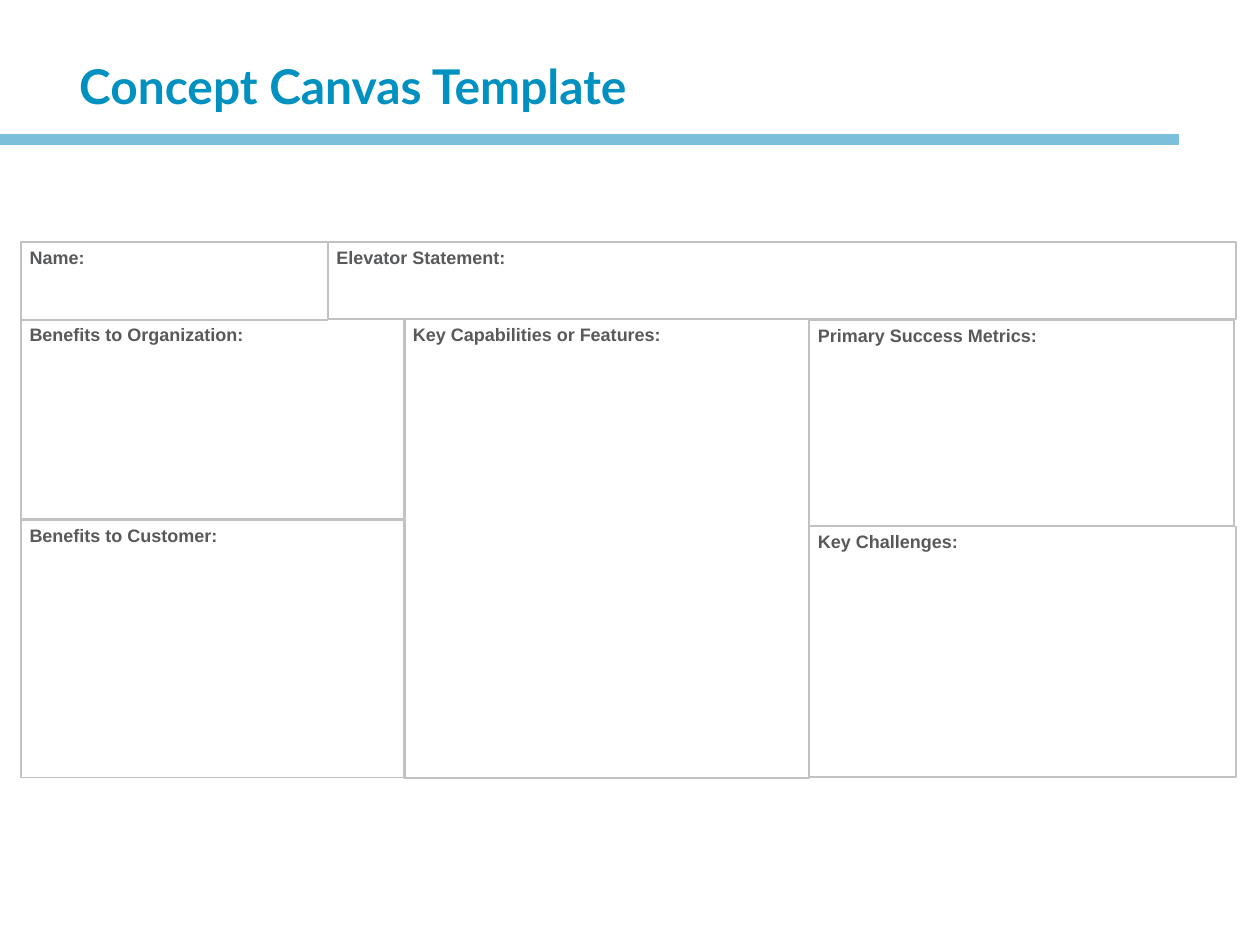
from dataclasses import dataclass

from pptx import Presentation
from pptx.dml.color import RGBColor
from pptx.enum.shapes import MSO_SHAPE
from pptx.enum.text import MSO_ANCHOR, MSO_AUTO_SIZE, PP_ALIGN
from pptx.util import Inches, Pt


@dataclass(frozen=True)
class Theme:
    """Colours, fonts and sizes of the slide."""
    blue: RGBColor = RGBColor(0x00, 0x91, 0xC1)
    sky: RGBColor = RGBColor(0x7B, 0xBF, 0xDB)
    rule: RGBColor = RGBColor(0xC4, 0xC2, 0xC1)
    ink: RGBColor = RGBColor(0x58, 0x59, 0x5B)
    head: str = "Lato"
    body: str = "Arial"
    large: float = 38.3
    small: float = 14.4
    line: float = 1.5


THEME = Theme()
LEFT, MID, RIGHT = 0.23, 4.49, 8.99
TOP, ROW = 2.69, 3.55
BOXES = [
    ("Name:", LEFT, TOP, 3.41, 0.87),
    ("Elevator Statement:", 3.64, TOP, 10.09, 0.86),
    ("Benefits to Organization:", LEFT, ROW, 4.27, 2.22),
    ("Benefits to Customer:", LEFT, 5.78, 4.27, 2.86),
    ("Key Capabilities or Features:", MID, ROW, 4.5, 5.1),
    ("Primary Success Metrics:", RIGHT, 3.56, 4.72, 2.28),
    ("Key Challenges:", RIGHT, 5.85, 4.74, 2.78),
]


def apply(item, values):
    """Set each named value on an object."""
    for name, value in values.items():
        setattr(item, name, value)


def write(frame, text, font, size, color):
    """Put bold text at the top left of a frame."""
    apply(frame, {
        "text": text,
        "word_wrap": True,
        "auto_size": MSO_AUTO_SIZE.NONE,
        "vertical_anchor": MSO_ANCHOR.TOP,
        "margin_left": Inches(0.1),
        "margin_right": Inches(0.1),
        "margin_top": Inches(0.05),
        "margin_bottom": Inches(0.05),
    })
    line = frame.paragraphs[0]
    line.alignment = PP_ALIGN.LEFT
    face = line.runs[0].font
    apply(face, {"name": font, "size": Pt(size), "bold": True})
    face.color.rgb = color


def add_rect(slide, *place):
    """Add a plain rectangle at a place in inches."""
    rect = slide.shapes.add_shape(MSO_SHAPE.RECTANGLE, *map(Inches, place))
    rect.shadow.inherit = False
    return rect


def add_bar(slide, *place):
    """Add the band under the title."""
    bar = add_rect(slide, *place)
    bar.fill.solid()
    bar.fill.fore_color.rgb = THEME.sky
    bar.line.fill.background()


def add_box(slide, label, *place):
    """Add an outlined canvas box with its label."""
    box = add_rect(slide, *place)
    box.fill.background()
    box.line.color.rgb = THEME.rule
    box.line.width = Pt(THEME.line)
    write(box.text_frame, label, THEME.body, THEME.small, THEME.ink)


def set_title(slide, text, left, top, width, height):
    """Place and format the title."""
    title = slide.shapes.title
    apply(title, {
        "left": Inches(left),
        "top": Inches(top),
        "width": Inches(width),
        "height": Inches(height),
    })
    write(title.text_frame, text, THEME.head, THEME.large, THEME.blue)


def main():
    """Build and save the slide."""
    deck = Presentation()
    apply(deck, {"slide_width": Inches(14), "slide_height": Inches(10.5)})
    slide = deck.slides.add_slide(deck.slide_layouts[5])
    set_title(slide, "Concept Canvas Template", 0.78, 0.58, 12.43, 0.64)
    add_bar(slide, 0, 1.49, 13.1, 0.12)
    for box in BOXES:
        add_box(slide, *box)
    deck.save("out.pptx")


main()
